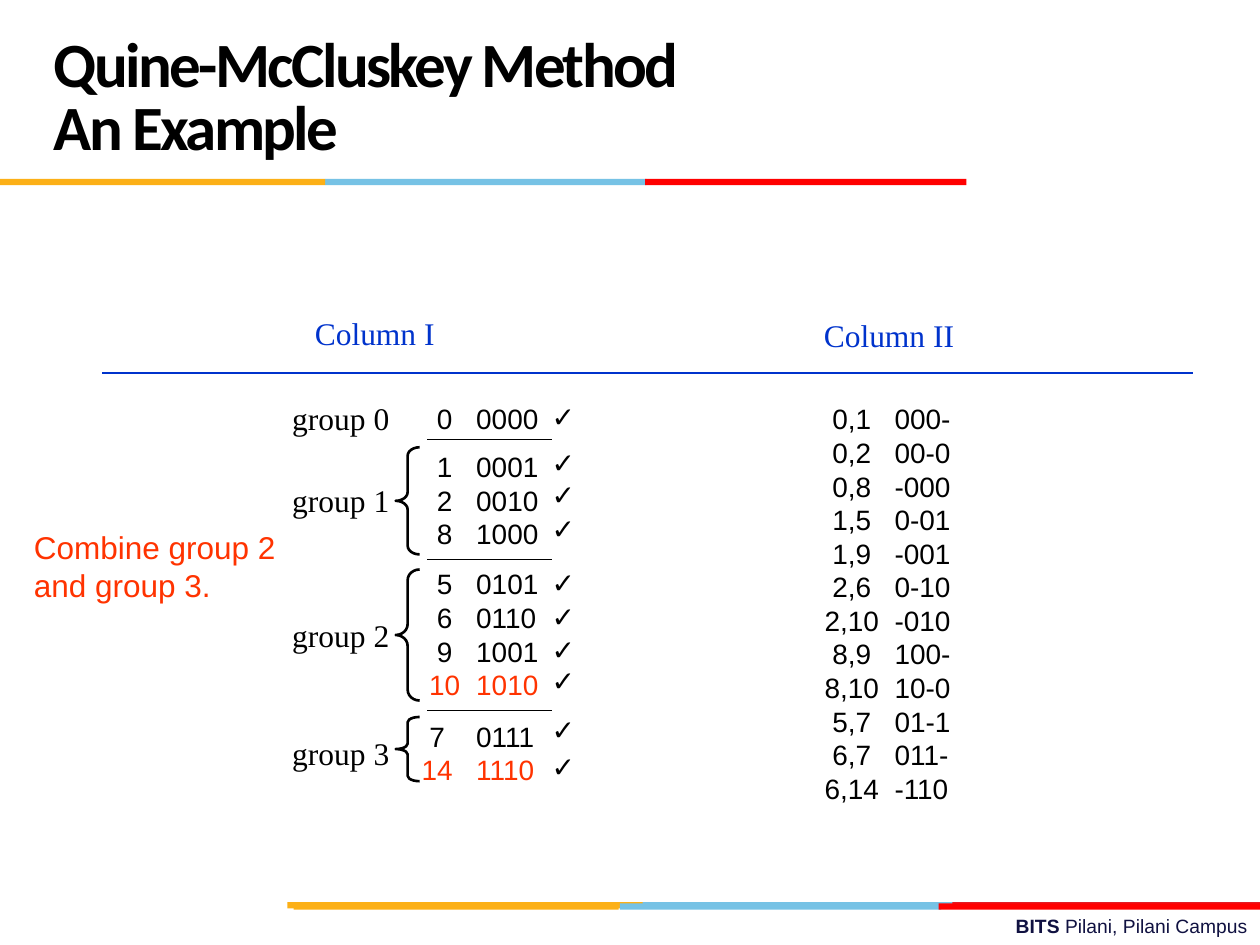
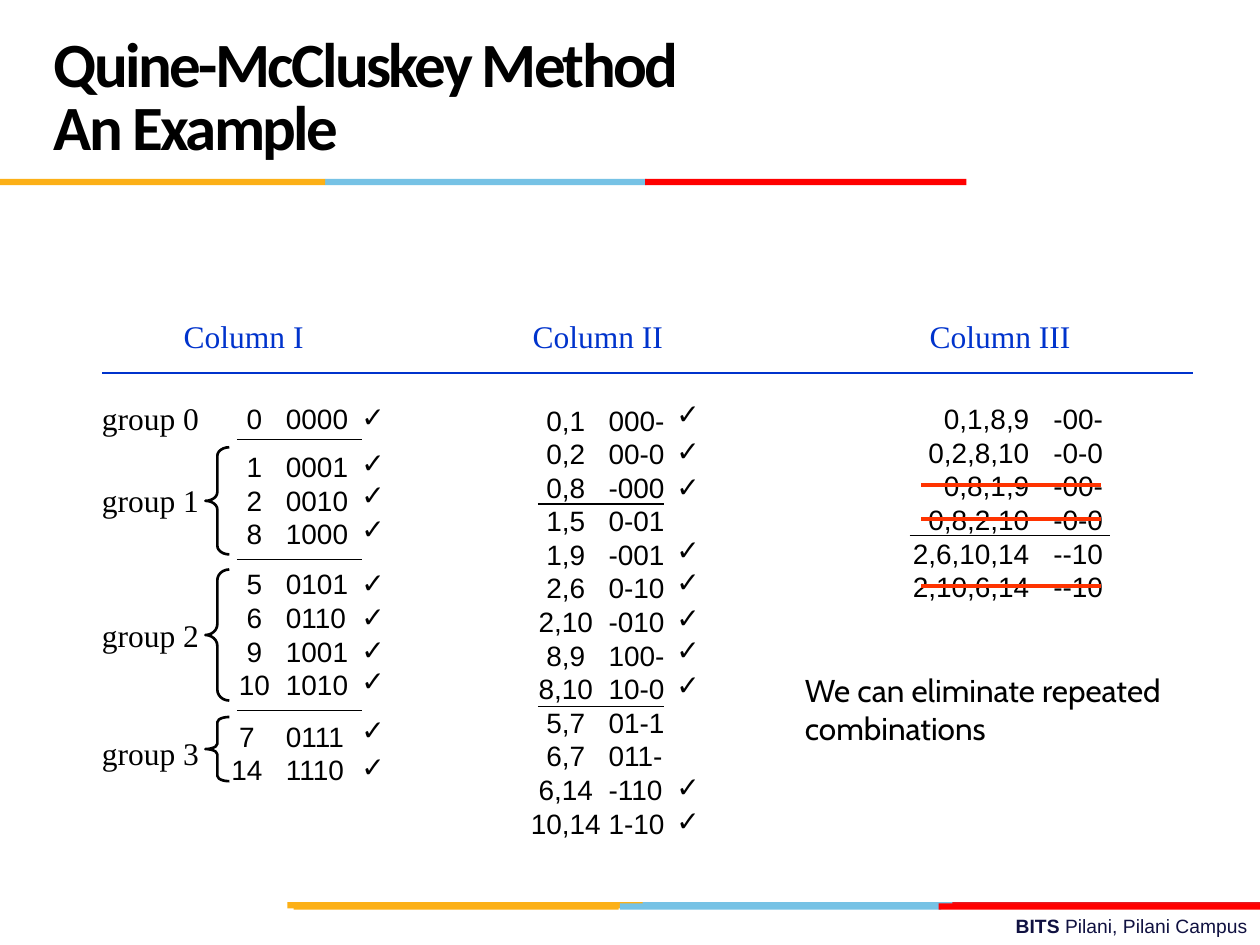
"""Build two slides that work through the Quine-McCluskey method."""
from dataclasses import dataclass

from lxml.etree import SubElement
from pptx import Presentation
from pptx.dml.color import RGBColor
from pptx.enum.shapes import MSO_CONNECTOR, MSO_SHAPE
from pptx.enum.text import MSO_ANCHOR, PP_ALIGN
from pptx.oxml.ns import qn
from pptx.util import Inches, Pt


@dataclass(frozen=True)
class Theme:
    gold: str = "FCB017"
    sky: str = "76C2E5"
    crimson: str = "E31C24"
    red: str = "FF0000"
    accent: str = "FF3300"
    blue: str = "0033CC"
    navy: str = "101141"
    black: str = "000000"
    title_size: int = 36
    label_size: int = 18
    row_size: int = 16
    footer_size: int = 11


T = Theme()
TITLE = {"name": "Calibri", "size": T.title_size, "color": T.black, "bold": True}
HEAD = {"name": "Times New Roman", "size": T.label_size, "color": T.blue}
GROUP = {**HEAD, "color": T.black}
ROW = {"name": "Arial", "size": T.row_size, "color": T.black}
CALL = {"name": "Arial", "size": T.label_size, "color": T.accent}
NOTE = {"name": "Cabin", "size": T.label_size, "color": T.black}
FOOT = {"name": "Arial", "size": T.footer_size, "color": T.navy, "bold": True}


def add_text(s, box, lines, fmt, align=PP_ALIGN.LEFT, wrap=False, tabs=(), marked=()):
    tf = s.shapes.add_textbox(*map(Inches, box)).text_frame
    tf.word_wrap = wrap
    if tabs:
        tf.margin_left = 0
    for i, line in enumerate(lines):
        p = tf.paragraphs[0] if i == 0 else tf.add_paragraph()
        p.text = line
        p.alignment = align
        if tabs:
            tab_list = SubElement(p._p.get_or_add_pPr(), qn("a:tabLst"))
            for pos, kind in tabs:
                SubElement(tab_list, qn("a:tab"), pos=str(Inches(pos)), algn=kind)
        for r in p.runs:
            values = {**fmt, "size": Pt(fmt["size"])}
            color = values.pop("color")
            for key, value in values.items():
                setattr(r.font, key, value)
            r.font.color.rgb = RGBColor.from_string(T.accent if line in marked else color)
    return tf


def add_line(s, x1, x2, y, color=T.black, width=0.75):
    c = s.shapes.add_connector(MSO_CONNECTOR.STRAIGHT, *map(Inches, (x1, y, x2, y)))
    c.line.color.rgb = RGBColor.from_string(color)
    c.line.width = Pt(width)
    SubElement(c._element.spPr, qn("a:effectLst"))


BANDS = [
    (5.06, 7.16, 2.55, T.sky), (7.56, 7.16, 2.44, T.crimson), (2.28, 7.16, 2.82, T.gold),
    (4.92, 7.17, 2.55, T.sky), (2.33, 7.17, 2.58, T.gold), (7.45, 7.17, 2.55, T.red),
    (2.58, 1.42, 2.55, T.sky), (0, 1.42, 2.58, T.gold), (5.12, 1.42, 2.55, T.red),
]
GROUPS = [
    (3.12, 3.14, 1.31, ["\t0\t0000"]),
    (3.77, 3.52, 1.31, ["\t1\t0001", "\t2\t0010", "\t8\t1000"]),
    (4.84, 4.45, 1.31, ["\t5\t0101", "\t6\t0110", "\t9\t1001", "\t10\t1010"]),
    (5.78, 5.66, 1.25, ["\t7\t0111", "\t14\t1110"]),
]
BRACES = [(3.55, 0.85, 0.36), (4.52, 1.04, 0.45), (5.69, 0.51, 0.22)]
GROUP_TICKS = [3.12, 3.49, 3.74, 4.01, 4.44, 4.71, 4.97, 5.22, 5.61, 5.9]
PAIR_TICKS = [3.1, 3.39, 3.68, 4.18, 4.43, 4.72, 4.97, 5.25, 6.06, 6.33]
PAIRS = [
    "\t0,1\t000-", "\t0,2\t00-0", "\t0,8\t-000", "\t1,5\t0-01", "\t1,9\t-001",
    "\t2,6\t0-10", "\t2,10\t-010", "\t8,9\t100-", "\t8,10\t10-0", "\t5,7\t01-1",
    "\t6,7\t011-", "\t6,14\t-110", "\t10,14\t1-10",
]
QUADS = [
    "\t0,1,8,9\t-00-", "\t0,2,8,10\t-0-0", "\t0,8,1,9\t-00-",
    "\t0,8,2,10\t-0-0", "\t2,6,10,14\t--10", "\t2,10,6,14\t--10",
]
SLIDES = [
    {"groups_x": 2.22, "pairs": (6.16, 3.14), "rows": PAIRS[:-1],
     "marked": ("\t10\t1010", "\t14\t1110"), "ticks": [(4.28, GROUP_TICKS)],
     "heads": [("Column I", 2.4, 2.44, 1.15), ("Column II", 6.44, 2.46, 1.24)]},
    {"groups_x": 0.71, "pairs": (3.89, 3.15), "rows": PAIRS, "marked": (),
     "ticks": [(2.77, GROUP_TICKS), (5.27, PAIR_TICKS)],
     "heads": [("Column I", 1.36, 2.47, 1.15), ("Column II", 4.13, 2.47, 1.24),
               ("Column III", 7.28, 2.47, 1.32)]},
]

prs = Presentation()
prs.slide_width, prs.slide_height = Inches(10), Inches(7.5)

for page in SLIDES:
    s = prs.slides.add_slide(prs.slide_layouts[6])
    tf = add_text(s, (3.58, 7.21, 6.42, 0.29), ["BITS "], FOOT, PP_ALIGN.RIGHT, True)
    r = tf.paragraphs[0].add_run()
    r.text = "Pilani, Pilani Campus"
    for key, value in {"name": FOOT["name"], "size": Pt(T.footer_size), "bold": False}.items():
        setattr(r.font, key, value)
    r.font.color.rgb = RGBColor.from_string(T.navy)

    for x, y, w, color in BANDS:
        sp = s.shapes.add_shape(MSO_SHAPE.RECTANGLE, *map(Inches, (x, y, w, 0.05)))
        sp.shadow.inherit = False
        sp.fill.solid()
        sp.fill.fore_color.rgb = RGBColor.from_string(color)
        sp.line.fill.background()

    tf = add_text(s, (0.33, 0.17, 6.92, 1.25), ["Quine-McCluskey Method\vAn Example"], TITLE, wrap=True)
    tf.vertical_anchor = MSO_ANCHOR.MIDDLE
    tf.paragraphs[0].line_spacing = Pt(T.title_size)
    for r in tf.paragraphs[0].runs:
        r.font._element.set("spc", "-150")

    add_line(s, 0.81, 9.47, 2.96, T.blue)
    for label, x, y, w in page["heads"]:
        add_text(s, (x, y, w, 0.4), [label], HEAD)

    left = page["groups_x"]
    for i, (label_y, rows_y, center, rows) in enumerate(GROUPS):
        add_text(s, (left, label_y, 0.97, 0.4), [f"group {i}"], GROUP, PP_ALIGN.CENTER)
        add_text(s, (left + 0.9, rows_y, 1.3, 0.1 + 0.27 * len(rows)), rows, ROW, wrap=True,
                 tabs=[(center - 0.9, "ctr"), (0.66, "l")], marked=page["marked"])
    for y in (3.49, 4.44, 5.64):
        add_line(s, left + 1.17, left + 2.16, y)
    for y, h, curve in BRACES:
        sp = s.shapes.add_shape(MSO_SHAPE.LEFT_BRACE, *map(Inches, (left + 0.92, y, 0.19, h)))
        sp.shadow.inherit = False
        sp.adjustments[0] = curve
        sp.fill.background()
        sp.line.color.rgb = RGBColor.from_string(T.black)
        sp.line.width = Pt(1.5)

    x, y = page["pairs"]
    add_text(s, (x, y, 1.6, 0.07 + 0.27 * len(page["rows"])), page["rows"], ROW, wrap=True,
             tabs=[(0.6, "ctr"), (0.94, "l")])
    for x, ticks in page["ticks"]:
        for y in ticks:
            add_text(s, (x, y, 0.4, 0.37), ["✓"], ROW)

first, second = prs.slides
add_text(first, (0.17, 4.14, 2.12, 0.7), ["Combine group 2", "and group 3."], CALL)

for y in (4, 5.61):
    add_line(second, 4.27, 5.27, y)
add_text(second, (7.09, 3.14, 1.9, 1.7), QUADS, ROW, wrap=True, tabs=[(1.08, "r"), (1.27, "l")])
add_line(second, 7.22, 8.81, 4.25)
for y in (3.85, 4.12, 4.65):
    add_line(second, 7.31, 8.74, y, T.accent, 2.25)
add_text(second, (6.29, 5.28, 3.16, 0.7), ["We can eliminate repeated", "combinations"], NOTE)

prs.save("out.pptx")
